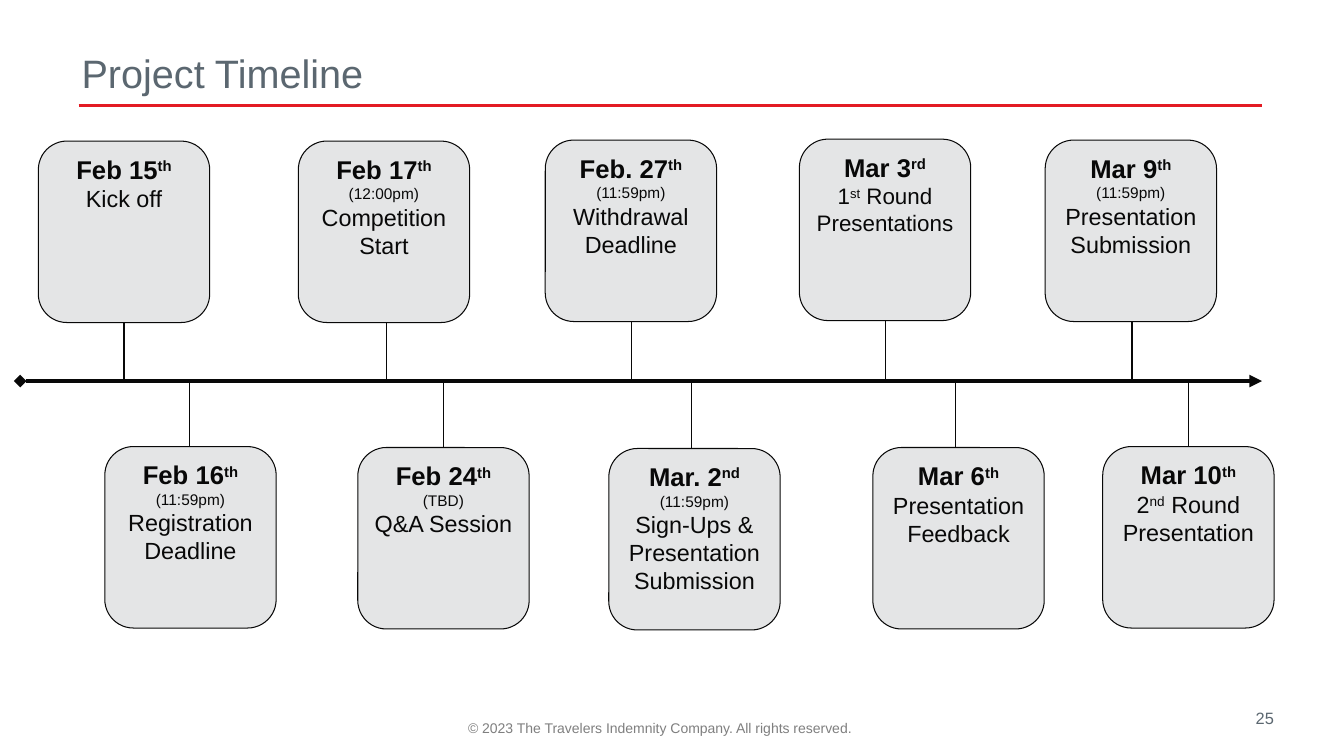
from pptx import Presentation
from pptx.dml.color import RGBColor
from pptx.enum.shapes import MSO_CONNECTOR, MSO_SHAPE
from pptx.enum.text import MSO_ANCHOR, PP_ALIGN
from pptx.oxml.ns import qn
from pptx.util import Pt
from lxml import etree

STRAIGHT = MSO_CONNECTOR.STRAIGHT
ROUNDED = MSO_SHAPE.ROUNDED_RECTANGLE
TOP, BOTTOM = MSO_ANCHOR.TOP, MSO_ANCHOR.BOTTOM
LEFT, CENTER, RIGHT = PP_ALIGN.LEFT, PP_ALIGN.CENTER, PP_ALIGN.RIGHT

COLORS = {"ink": "080808", "card": "E4E5E6", "slate": "5B6770",
          "red": "E31B23", "grey": "7F7F7F"}
FONT = "Arial"
CARD_WIDTH, CARD_HEIGHT = 122.4, 129.6
AXIS_Y = 272.2
DATE, TIME, LABEL = 18.3, 11, 16.7

# Card left, card top, stem x, date, time, label lines, label size.
# Text between two ^ marks is raised.
MILESTONES = [
    (27.4, 100.8, 88.6, "Feb 15^th^", "", ["Kick off"], LABEL),
    (74.9, 319, 135.4, "Feb 16^th^", "(11:59pm)", ["Registration Deadline"], LABEL),
    (213.1, 100.8, 275.8, "Feb 17^th^", "(12:00pm)", ["Competition Start"], LABEL),
    (255.6, 319.7, 316.8, "Feb 24^th^", "(TBD)", ["Q&A Session"], LABEL),
    (389.5, 100.1, 451.4, "Feb. 27^th^", "(11:59pm)", ["Withdrawal Deadline"], LABEL),
    (434.9, 320.4, 493.9, "Mar. 2^nd^", "(11:59pm)",
     ["Sign-Ups & Presentation Submission"], LABEL),
    (571, 99.4, 632.2, "Mar 3^rd^", "", ["1^st^ Round", "Presentations"], 16),
    (623.5, 319.7, 682.6, "Mar 6^th^", "", ["Presentation Feedback"], LABEL),
    (746.6, 100.1, 808.6, "Mar 9^th^", "(11:59pm)", ["Presentation Submission"], LABEL),
    (787.7, 319, 848.9, "Mar 10^th^", "", ["2^nd^ Round Presentation"], LABEL),
]


def color(name):
    return RGBColor.from_string(COLORS[name])


def set_frame(frame, anchor, inset_x, inset_y):
    frame.word_wrap = True
    frame.vertical_anchor = anchor
    frame.margin_left = frame.margin_right = Pt(inset_x)
    frame.margin_top = frame.margin_bottom = Pt(inset_y)


def write(para, text, size, ink, align, bold=False):
    """Fill a paragraph, raising the pieces between ^ marks."""
    para.alignment = align
    for index, piece in enumerate(text.split("^")):
        if not piece:
            continue
        span = para.add_run()
        span.text = piece
        span.font.name = FONT
        span.font.size = Pt(size)
        span.font.bold = bold
        span.font.color.rgb = color(ink)
        if index % 2:
            span.font._element.set("baseline", "30000")


def add_text(page, area, text, size, ink, align, anchor=TOP, insets=(10.1, 5)):
    box = page.shapes.add_textbox(*map(Pt, area))
    set_frame(box.text_frame, anchor, *insets)
    write(box.text_frame.paragraphs[0], text, size, ink, align)


def add_line(page, start, end, ink, width, head=None, tail=None):
    line = page.shapes.add_connector(STRAIGHT, *map(Pt, start + end))
    line.line.color.rgb = color(ink)
    line.line.width = Pt(width)
    outline = line.line._get_or_add_ln()
    for tag, kind in (("a:headEnd", head), ("a:tailEnd", tail)):
        if kind:
            etree.SubElement(outline, qn(tag), type=kind)
    etree.SubElement(line._element.spPr, qn("a:effectLst"))


def add_card(page, left, top, date, time, labels, label_size):
    card = page.shapes.add_shape(ROUNDED, Pt(left), Pt(top),
                                 Pt(CARD_WIDTH), Pt(CARD_HEIGHT))
    card.shadow.inherit = False
    card.fill.solid()
    card.fill.fore_color.rgb = color("card")
    card.line.color.rgb = color("ink")
    card.line.width = Pt(0.75)
    frame = card.text_frame
    set_frame(frame, TOP, 6, 3)
    write(frame.paragraphs[0], date, DATE, "ink", CENTER, bold=True)
    if time:
        write(frame.add_paragraph(), time, TIME, "ink", CENTER)
    for label in labels:
        write(frame.add_paragraph(), label, label_size, "ink", CENTER)


def add_stem(page, x, card_top):
    """Join a card to the axis from above or below."""
    edge = card_top + CARD_HEIGHT if card_top < AXIS_Y else card_top
    upper, lower = sorted((edge, AXIS_Y))
    add_line(page, (x, upper), (x, lower), "ink", 0.75)


def main():
    deck = Presentation()
    deck.slide_width, deck.slide_height = Pt(960), Pt(540)
    page = deck.slides.add_slide(deck.slide_layouts[6])

    # Title and rule
    add_line(page, (56.2, 75.6), (901.4, 75.6), "red", 2)
    add_text(page, (48.2, 15.8, 864, 58.3), "Project Timeline", 28.3,
             "slate", LEFT, anchor=BOTTOM)

    # Timeline axis and milestones
    add_line(page, (14.4, AXIS_Y), (901.4, AXIS_Y), "ink", 3,
             head="diamond", tail="triangle")
    for left, top, stem_x, date, time, labels, label_size in MILESTONES:
        add_card(page, left, top, date, time, labels, label_size)
        add_stem(page, stem_x, top)

    # Footer
    add_text(page, (696.2, 501.1, 223.9, 20.2), "25", 11.7, "slate", RIGHT)
    add_text(page, (273.6, 510.5, 395.3, 19.4),
             "© 2023 The Travelers Indemnity Company. All rights reserved.",
             10, "grey", CENTER, insets=(7.2, 3.6))

    deck.save("out.pptx")


if __name__ == "__main__":
    main()
